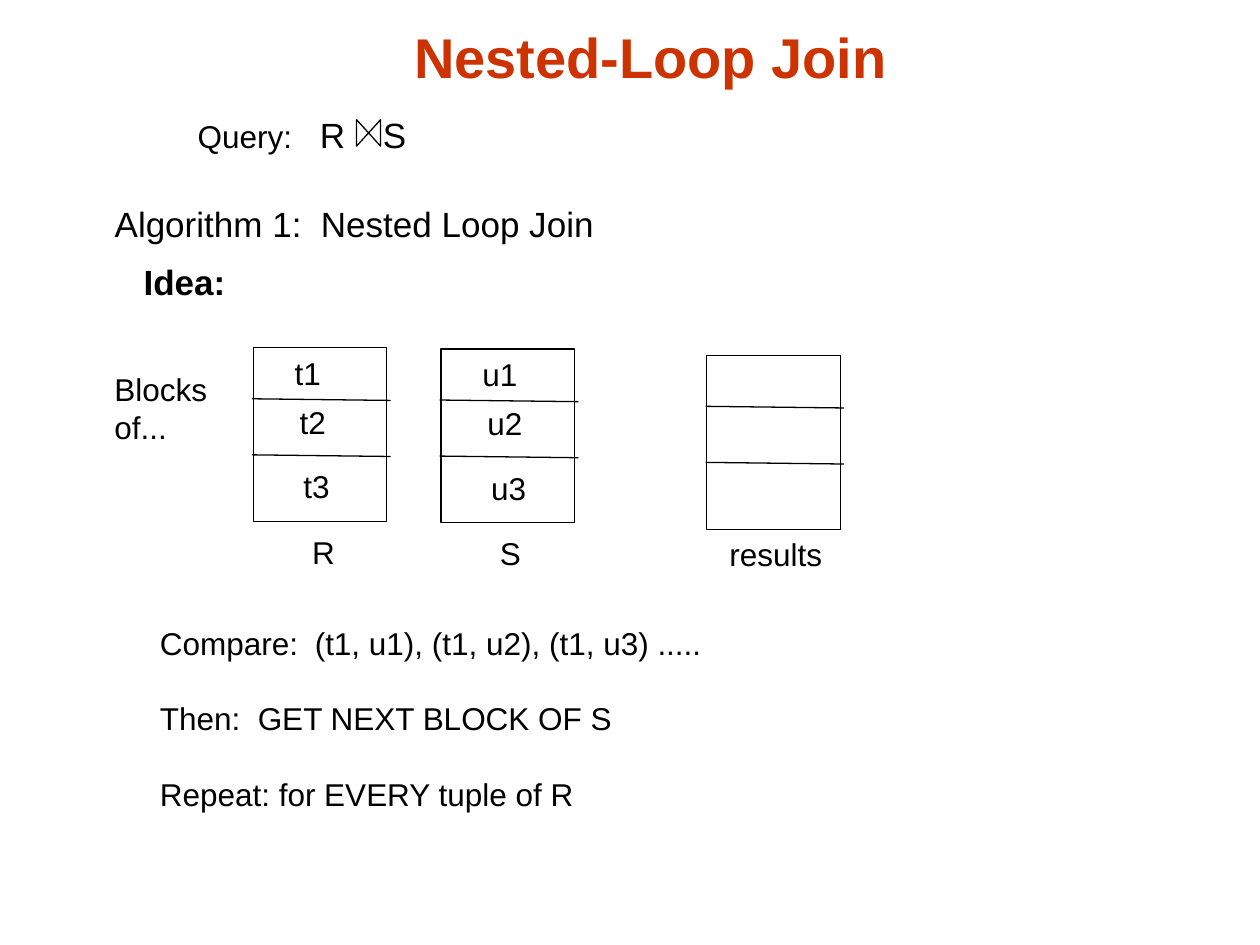
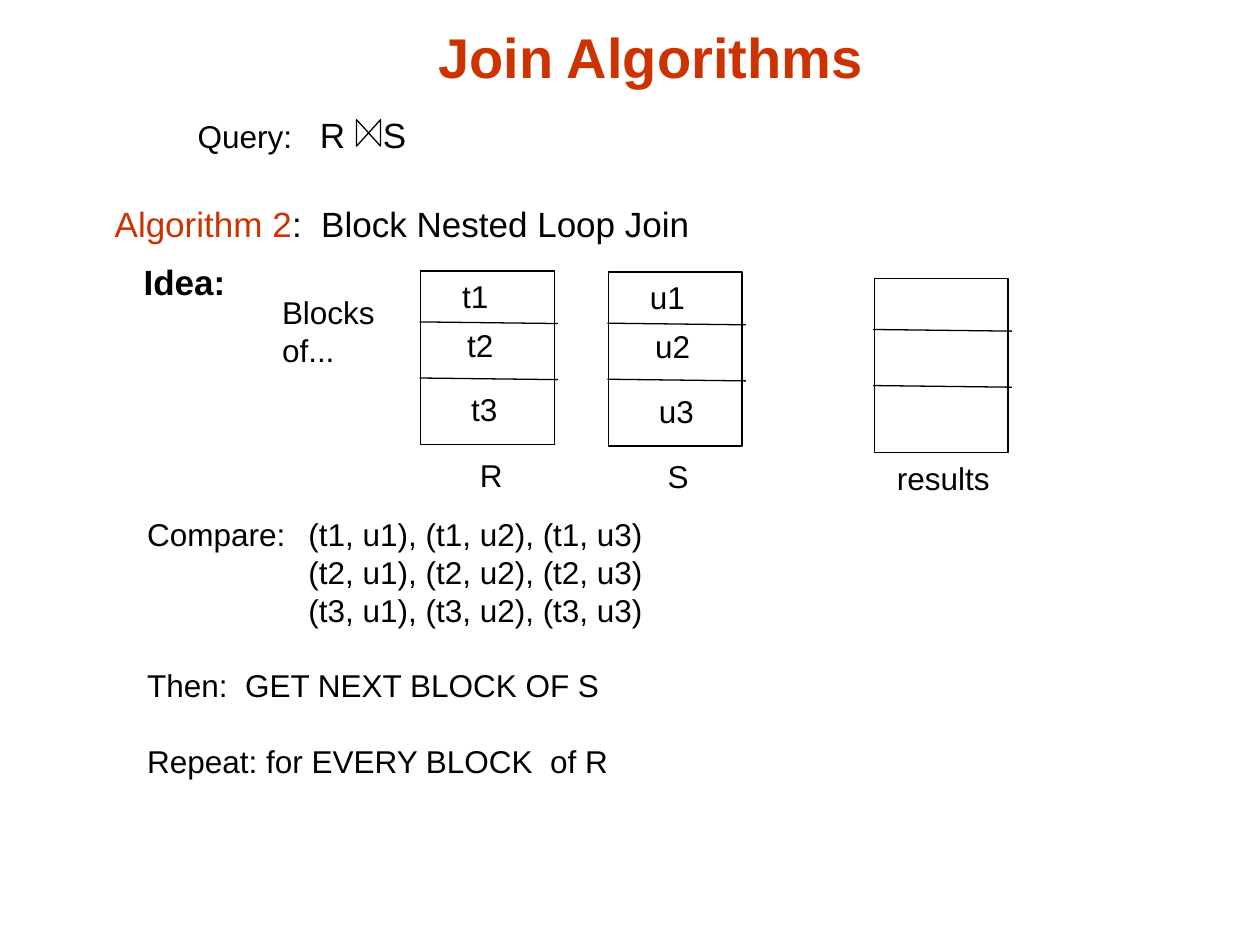
import pptx
import pptx.dml.color
import pptx.enum.shapes
import pptx.enum.text
import pptx.oxml.ns
import pptx.util
from collections import namedtuple
from lxml import etree

RUST = pptx.dml.color.RGBColor(0xCC, 0x33, 0x00)
BLACK = pptx.dml.color.RGBColor(0x00, 0x00, 0x00)
FONT = "Arial"
TITLE_SIZE, HEADING_SIZE, TEXT_SIZE = 32, 20, 18
LEADING = 1.2

# The page is a grid of 100 columns by 75 rows of square cells
COLUMNS, ROWS = 100, 75
CELL = pptx.util.Inches(10) // COLUMNS

Box = namedtuple("Box", "left top width height")

TITLE_BOX = Box(7.5, 0.9, 88.3, 6.7)
HEADING_BOX = Box(8.1, 15.6, 86.7, 13.7)
QUERY_BOX = Box(14.7, 8.5, 18.6, 7.7)
STACK_SIZE = (10.6, 13.8)
LINE_HEIGHT = 4


def cells(count):
    return pptx.util.Emu(round(count * CELL))


def inside(box, left, top, width, height):
    """A box placed relative to the corner of another one."""
    return Box(box.left + left, box.top + top, width, height)


def lengths(box):
    return [cells(value) for value in box]


def format_span(span, size, color=BLACK, bold=False):
    span.font.name = FONT
    span.font.size = pptx.util.Pt(size)
    span.font.color.rgb = color
    span.font.bold = bold


def set_tabs(para, stops):
    tab_list = etree.SubElement(para._p.get_or_add_pPr(), pptx.oxml.ns.qn("a:tabLst"))
    for stop in stops:
        etree.SubElement(tab_list, pptx.oxml.ns.qn("a:tab"), pos=str(cells(stop)), algn="l")


def add_text(page, box, lines, size=TEXT_SIZE, tabs=(), gaps=()):
    """Add lines of text; those numbered in gaps stand one line lower."""
    text_box = page.shapes.add_textbox(*lengths(box))
    frame = text_box.text_frame
    frame.word_wrap = False
    frame.text = "\n".join(lines)
    for number, para in enumerate(frame.paragraphs):
        para.line_spacing = pptx.util.Pt(size * LEADING)
        if number in gaps:
            para.space_before = pptx.util.Pt(size * LEADING)
        if tabs:
            set_tabs(para, tabs)
        for span in para.runs:
            format_span(span, size)
    return text_box


def outline(shape):
    shape.line.color.rgb = BLACK
    shape.line.width = pptx.util.Pt(0.75)


def add_outlined(page, kind, box):
    shape = page.shapes.add_shape(kind, *lengths(box))
    shape.shadow.inherit = False
    shape.fill.background()
    outline(shape)
    return shape


def add_divider(page, box):
    line = page.shapes.add_connector(
        pptx.enum.shapes.MSO_CONNECTOR.STRAIGHT,
        cells(box.left), cells(box.top),
        cells(box.left + box.width), cells(box.top + box.height))
    outline(line)
    etree.SubElement(line._element.spPr, pptx.oxml.ns.qn("a:effectLst"))


def place_frame(shape, box, anchor):
    shape.left, shape.top, shape.width, shape.height = lengths(box)
    shape.text_frame.vertical_anchor = anchor
    shape.text_frame.auto_size = pptx.enum.text.MSO_AUTO_SIZE.NONE


def add_title(page, box, title):
    shape = page.shapes.title
    place_frame(shape, box, pptx.enum.text.MSO_ANCHOR.BOTTOM)
    shape.text_frame.text = title
    para = shape.text_frame.paragraphs[0]
    para.alignment = pptx.enum.text.PP_ALIGN.CENTER
    format_span(para.runs[0], TITLE_SIZE, RUST, bold=True)


def add_heading(page, box, number, name, color):
    """Algorithm number and name, with the indented word below."""
    shape = page.placeholders[1]
    place_frame(shape, box, pptx.enum.text.MSO_ANCHOR.TOP)
    frame = shape.text_frame
    frame.text = f"Algorithm {number}"
    heading, idea = frame.paragraphs[0], frame.add_paragraph()
    heading.add_run().text = f":  {name}"
    idea.text = "Idea:"
    for para, indent in ((heading, 0), (idea, 2.3)):
        para.line_spacing = pptx.util.Pt(HEADING_SIZE * LEADING)
        para.space_before = pptx.util.Pt(8.8)
        properties = para._p.get_or_add_pPr()
        properties.set("marL", str(cells(indent)))
        properties.set("indent", "0")
        etree.SubElement(properties, pptx.oxml.ns.qn("a:buNone"))
    format_span(heading.runs[0], HEADING_SIZE, color)
    format_span(heading.runs[1], HEADING_SIZE)
    format_span(idea.runs[0], HEADING_SIZE, bold=True)


def add_query(page, box):
    """The query, with the join sign between its two relations."""
    sign = add_outlined(page, pptx.enum.shapes.MSO_SHAPE.FLOWCHART_COLLATE,
                        inside(box, 13.5, 1.1, 2.1, 1.9))
    sign.rotation = 90
    text_box = add_text(page, box, ["Query:"], tabs=(9.7, 14.7))
    para = text_box.text_frame.paragraphs[0]
    para.line_spacing = pptx.util.Pt(HEADING_SIZE * LEADING)
    relations = para.add_run()
    relations.text = "\tR\tS"
    format_span(relations, HEADING_SIZE)


def add_stack(page, box, tuples, caption, caption_box):
    """A block of three cells with its tuples and a caption below."""
    add_outlined(page, pptx.enum.shapes.MSO_SHAPE.RECTANGLE, box)
    for top in (4.05, 8.5):
        add_divider(page, inside(box, -0.1, top, 11, 0.13))
    for text, (left, top) in zip(tuples, ((2.3, 0), (2.7, 3.9), (3, 9))):
        add_text(page, inside(box, left, top, 4.8, LINE_HEIGHT), [text])
    add_text(page, caption_box, [caption])


def add_blocks(page, box):
    """Label, both relations and the results, from left to right."""
    add_text(page, inside(box, 0, 1.3, 10, 7), ["Blocks", "of..."])
    stacks = (
        ("R", "t", 12, 0, 3.7, 14.2, 4),
        ("S", "u", 26.9, 0.1, 3.7, 14.2, 4),
        ("results", "", 48, 0.6, 0.8, 13.8, 11),
    )
    for caption, letter, left, top, caption_left, caption_top, caption_width in stacks:
        stack = inside(box, left, top, *STACK_SIZE)
        tuples = [f"{letter}{number}" for number in (1, 2, 3)] if letter else []
        add_stack(page, stack, tuples, caption,
                  inside(stack, caption_left, caption_top, caption_width, LINE_HEIGHT))


def add_join_page(deck, title, number, name, color, blocks_box, steps_box, steps, tab, gaps):
    page = deck.slides.add_slide(deck.slide_layouts[1])
    add_title(page, TITLE_BOX, title)
    add_heading(page, HEADING_BOX, number, name, color)
    add_query(page, QUERY_BOX)
    add_blocks(page, blocks_box)
    add_text(page, steps_box, steps, tabs=(tab,), gaps=gaps)


def main():
    deck = pptx.Presentation()
    deck.slide_width, deck.slide_height = cells(COLUMNS), cells(ROWS)

    add_join_page(
        deck, "Nested-Loop Join", 1, "Nested Loop Join", BLACK,
        Box(8.1, 27.6, 58.6, 18.4), Box(11.7, 49, 45.1, 16),
        ["Compare:\t(t1, u1), (t1, u2), (t1, u3) .....",
         "Then:  GET NEXT BLOCK OF S",
         "Repeat: for EVERY tuple of R"],
        tab=12.3, gaps=(1, 2))

    pairs = ["\t" + ", ".join(f"(t{outer}, u{inner})" for inner in (1, 2, 3))
             for outer in (1, 2, 3)]
    add_join_page(
        deck, "Join Algorithms", 2, "Block Nested Loop Join", RUST,
        Box(21.4, 21.5, 58.6, 18.4), Box(10.7, 40.4, 41.6, 22),
        ["Compare:" + pairs[0], *pairs[1:],
         "Then:  GET NEXT BLOCK OF S",
         "Repeat: for EVERY BLOCK  of R"],
        tab=12.8, gaps=(3, 4))

    deck.save("out.pptx")


if __name__ == "__main__":
    main()
